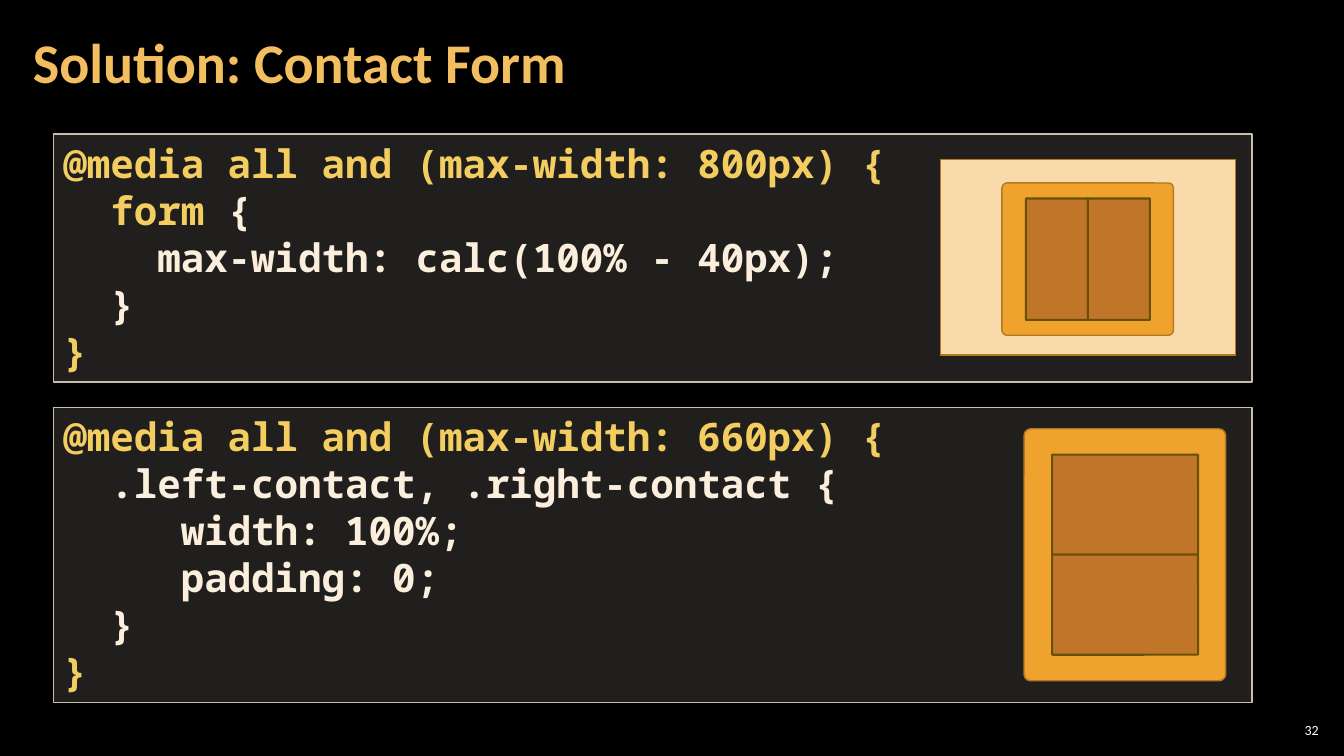
from dataclasses import dataclass

from lxml.etree import SubElement
from pptx import Presentation
from pptx.dml.color import RGBColor
from pptx.enum.shapes import MSO_SHAPE
from pptx.enum.text import MSO_ANCHOR, MSO_AUTO_SIZE, PP_ALIGN
from pptx.oxml.ns import qn
from pptx.shapes.autoshape import Shape
from pptx.slide import Slide
from pptx.text.text import Font, TextFrame
from pptx.util import Pt

COLORS = {
    "background": "000000",
    "title": "F3BE60",
    "number": "FFFFFF",
    "panel": "D9D5C7",
    "panel_line": "C7BFAC",
    "selector": "F3CD60",
    "code": "FBEEDC",
    "screen": "F9DAAB",
    "form": "F0A22E",
    "form_line": "B27822",
    "column": "C17529",
    "column_line": "695008",
}
HEADING_FONT = "Calibri"
CODE_FONT = "Noto Sans Mono"

Span = tuple[str, str]


@dataclass(frozen=True)
class Frame:
    left: float
    top: float
    width: float
    height: float

    def lengths(self) -> tuple[Pt, Pt, Pt, Pt]:
        return Pt(self.left), Pt(self.top), Pt(self.width), Pt(self.height)


@dataclass(frozen=True)
class CodePanel:
    frame: Frame
    lines: list[list[Span]]


@dataclass(frozen=True)
class Block:
    frame: Frame
    role: str
    line_role: str
    line_width: float
    rounding: float


def form_block(frame: Frame) -> Block:
    return Block(frame, "form", "form_line", 1, 0.033)


def column_block(frame: Frame) -> Block:
    return Block(frame, "column", "column_line", 1.5, 0.008)


PANELS = [
    CodePanel(Frame(38.25, 95.8, 856, 177), [
        [("@media all and (max-width: 800px) {", "selector")],
        [("  ", "code"), ("form", "selector"), (" {", "code")],
        [("    max-width: calc(100% - 40px);", "code")],
        [("  }", "code")],
        [("}", "selector")],
    ]),
    CodePanel(Frame(38.25, 291, 856, 211), [
        [("@media all and (max-width: 660px) {", "selector")],
        [("  .left-contact, .right-contact {", "code")],
        [("     width: 100%;", "code")],
        [("     padding: 0;", "code")],
        [("  }", "code")],
        [("}", "selector")],
    ]),
]
STACKED_FORM = [
    form_block(Frame(731.5, 306.3, 144, 180)),
    *(column_block(Frame(751.5, 324.7 + 71.5 * row, 104.3, 71.5)) for row in range(2)),
]
SIDE_BY_SIDE_FORM = [
    Block(Frame(672, 114, 210.5, 139.7), "screen", "form_line", 1, 0),
    form_block(Frame(715.7, 130.7, 122.5, 108.8)),
    *(column_block(Frame(732.8 + 44.3 * column, 141.8, 44.3, 86.7)) for column in range(2)),
]


def color(role: str) -> RGBColor:
    """Return the colour for a role."""
    return RGBColor.from_string(COLORS[role])


def format_font(font: Font, name: str, size: float, role: str, bold: bool) -> None:
    """Set the typeface, size, colour and weight."""
    font.name = name
    font.size = Pt(size)
    font.bold = bold
    font.color.rgb = color(role)


def set_insets(text_frame: TextFrame, side: float, edge: float) -> None:
    """Set the margins and centre the text vertically."""
    text_frame.margin_left = text_frame.margin_right = Pt(side)
    text_frame.margin_top = text_frame.margin_bottom = Pt(edge)
    text_frame.vertical_anchor = MSO_ANCHOR.MIDDLE
    text_frame.word_wrap = True


def paint(shape: Shape, role: str, line_role: str, line_width: float) -> None:
    """Give a shape a flat fill and an outline."""
    shape.shadow.inherit = False
    shape.fill.solid()
    shape.fill.fore_color.rgb = color(role)
    shape.line.color.rgb = color(line_role)
    shape.line.width = Pt(line_width)


def add_title(page: Slide, text: str) -> None:
    """Place and format the title placeholder."""
    title = page.shapes.title
    title.left, title.top, title.width, title.height = Frame(15, 3, 754, 87).lengths()
    text_frame = title.text_frame
    text_frame.text = text
    set_insets(text_frame, 8.5, 2.8)
    text_frame.auto_size = MSO_AUTO_SIZE.NONE
    para = text_frame.paragraphs[0]
    para.alignment = PP_ALIGN.LEFT
    para.line_spacing = 0.9
    format_font(para.runs[0].font, HEADING_FONT, 40, "title", True)


def add_page_number(page: Slide, number: str) -> None:
    """Write the page number in the lower right corner."""
    box = page.shapes.add_textbox(*Frame(911, 514, 33.8, 15).lengths())
    box.text_frame.text = number
    set_insets(box.text_frame, 2.8, 2.8)
    para = box.text_frame.paragraphs[0]
    para.alignment = PP_ALIGN.RIGHT
    format_font(para.runs[0].font, HEADING_FONT, 10, "number", False)


def add_code_panel(page: Slide, panel: CodePanel) -> None:
    """Draw a translucent panel with coloured code lines."""
    box = page.shapes.add_shape(MSO_SHAPE.RECTANGLE, *panel.frame.lengths())
    paint(box, "panel", "panel_line", 1)
    fill_color = box.fill._xPr.find(qn("a:solidFill"))[0]
    SubElement(fill_color, qn("a:alpha")).set("val", "15000")
    text_frame = box.text_frame
    set_insets(text_frame, 7.2, 3.6)
    text_frame.vertical_anchor = MSO_ANCHOR.TOP
    text_frame.auto_size = MSO_AUTO_SIZE.SHAPE_TO_FIT_TEXT
    text_frame.text = "\n".join("".join(text for text, _ in line) for line in panel.lines)
    for para, line in zip(text_frame.paragraphs, panel.lines):
        para.alignment = PP_ALIGN.LEFT
        para.runs[0].text = line[0][0]
        for text, _ in line[1:]:
            para.add_run().text = text
        for span, (_, role) in zip(para.runs, line):
            format_font(span.font, CODE_FONT, 28, role, True)


def add_sketch(page: Slide, blocks: list[Block]) -> None:
    """Draw a grouped sketch of the form layout."""
    group = page.shapes.add_group_shape()
    for block in blocks:
        shape = group.shapes.add_shape(MSO_SHAPE.ROUNDED_RECTANGLE, *block.frame.lengths())
        shape.adjustments[0] = block.rounding
        paint(shape, block.role, block.line_role, block.line_width)


def main() -> None:
    """Build the slide and save it."""
    deck = Presentation()
    deck.slide_width, deck.slide_height = Pt(960), Pt(540)
    page = deck.slides.add_slide(deck.slide_layouts[5])
    page.background.fill.solid()
    page.background.fill.fore_color.rgb = color("background")
    add_title(page, "Solution: Contact Form")
    add_page_number(page, "32")
    for panel in PANELS:
        add_code_panel(page, panel)
    for sketch in (STACKED_FORM, SIDE_BY_SIDE_FORM):
        add_sketch(page, sketch)
    deck.save("out.pptx")


if __name__ == "__main__":
    main()
